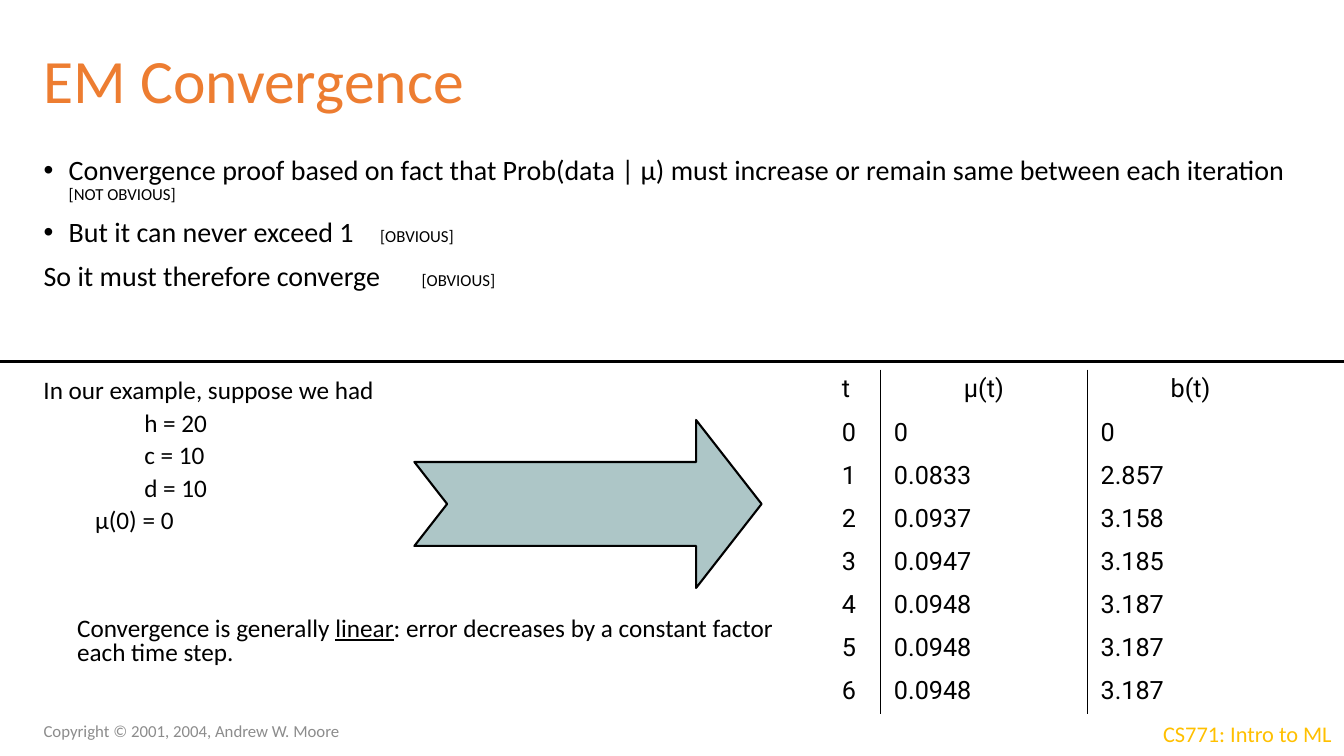
from lxml import etree
from pptx import Presentation
from pptx.dml.color import RGBColor
from pptx.enum.shapes import MSO_CONNECTOR, MSO_SHAPE
from pptx.enum.text import MSO_ANCHOR, PP_ALIGN
from pptx.oxml.ns import qn
from pptx.util import Pt

LINE = MSO_CONNECTOR.STRAIGHT
ARROW = MSO_SHAPE.NOTCHED_RIGHT_ARROW
TOP, MID = MSO_ANCHOR.TOP, MSO_ANCHOR.MIDDLE
LEFT, CENTER = PP_ALIGN.LEFT, PP_ALIGN.CENTER
PLAIN = "{2D5ABB26-0587-4C30-8999-92F81FD0307C}"  # table style without grid


def rgb(code):
    return RGBColor.from_string(code)


class Deck:
    font, grid_font = "Calibri", "Roboto"
    ink, accent, gray, gold, teal = "000000", "ED7D31", "8C8C8C", "FFC000", "ADC6C7"

    def __init__(self, wide, high):
        self.prs = Presentation()
        self.prs.slide_width, self.prs.slide_height = Pt(wide), Pt(high)
        self.slide = self.prs.slides.add_slide(self.prs.slide_layouts[5])
        self.shapes = self.slide.shapes

    def style(self, para, size=None, color=None, name=None):
        font = para.font
        font.name, font.color.rgb = name or self.font, rgb(color or self.ink)
        if size:
            font.size = Pt(size)

    def title(self, text, x, y, w, h):
        box = self.shapes.title
        box.left, box.top, box.width, box.height = map(Pt, (x, y, w, h))
        frame = box.text_frame
        frame.text, frame.vertical_anchor = text, MID
        para = frame.paragraphs[0]
        para.alignment, para.line_spacing = LEFT, 0.9
        self.style(para, 44, self.accent)

    def box(self, x, y, w, h, wrap=True, anchor=TOP):
        frame = self.shapes.add_textbox(Pt(x), Pt(y), Pt(w), Pt(h)).text_frame
        frame.word_wrap, frame.vertical_anchor = wrap, anchor
        return frame

    def para(self, frame, runs, size=None, color=None, first=False, gap=0,
             space=None, left=0, hang=0, bullet=False, tab=None):
        """Runs are (text, size, underline) tuples."""
        para = frame.paragraphs[0] if first else frame.add_paragraph()
        props = para._p.get_or_add_pPr()
        props.set("marL", str(Pt(left)))
        props.set("indent", str(Pt(-hang)))
        if bullet:
            etree.SubElement(props, qn("a:buFont"), typeface="Arial")
            etree.SubElement(props, qn("a:buChar"), char="•")
        if tab:
            tabs = etree.SubElement(props, qn("a:tabLst"))
            etree.SubElement(tabs, qn("a:tab"), pos=str(Pt(tab)), algn="l")
        if space:
            para.line_spacing = space
        if gap and not first:
            para.space_before = Pt(gap)
        self.style(para, size, color)
        for text, points, under in runs:
            run = para.add_run()
            run.text = text
            if points:
                run.font.size = Pt(points)
            if under:
                run.font.underline = True

    def rule(self, x1, y1, x2, y2, width):
        line = self.shapes.add_connector(LINE, Pt(x1), Pt(y1), Pt(x2), Pt(y2))
        line.line.color.rgb, line.line.width = rgb(self.ink), Pt(width)
        etree.SubElement(line._element.spPr, qn("a:effectLst"))

    def arrow(self, x, y, w, h, notch):
        shape = self.shapes.add_shape(ARROW, Pt(x), Pt(y), Pt(w), Pt(h))
        shape.shadow.inherit = False
        shape.adjustments[1] = notch
        shape.fill.solid()
        shape.fill.fore_color.rgb = rgb(self.teal)
        shape.line.color.rgb, shape.line.width = rgb(self.ink), Pt(1.5)

    def edge(self, cell, side):
        line = etree.SubElement(cell._tc.get_or_add_tcPr(), qn(side), w=str(Pt(1)))
        fill = etree.SubElement(line, qn("a:solidFill"))
        etree.SubElement(fill, qn("a:srgbClr"), val=self.ink)

    def table(self, rows, x, y, cols, high):
        grid = self.shapes.add_table(len(rows), len(cols), Pt(x), Pt(y),
                                     Pt(sum(cols)), Pt(high * len(rows))).table
        grid.first_row = grid.horz_banding = False
        grid._tbl.tblPr.find(qn("a:tableStyleId")).text = PLAIN
        for col, wide in zip(grid.columns, cols):
            col.width = Pt(wide)
        for r, row in enumerate(rows):
            grid.rows[r].height = Pt(high)
            for c, text in enumerate(row):
                cell = grid.cell(r, c)
                cell.margin_left = cell.margin_right = Pt(9.6)
                cell.margin_top = cell.margin_bottom = Pt(3.6)
                if c > 0:
                    self.edge(cell, "a:lnL")
                if c < len(cols) - 1:
                    self.edge(cell, "a:lnR")
                cell.fill.background()
                cell.text = text
                para = cell.text_frame.paragraphs[0]
                para.alignment = CENTER if r == 0 and c > 0 else LEFT
                self.style(para, 18, name=self.grid_font)


def main():
    deck = Deck(960, 540)

    # Footers
    foot = deck.box(823.7, 511, 136.5, 26.6, wrap=False)
    deck.para(foot, [("CS771: Intro to ML", None, False)], 16, deck.gold, first=True)
    foot = deck.box(24, 512, 239, 20, anchor=MID)
    deck.para(foot, [("Copyright © 2001, 2004, Andrew W. Moore", None, False)],
              12, deck.gray, first=True)

    # Title and argument
    deck.title("EM Convergence", 24, 18, 896, 84)
    body = deck.box(24, 108, 912, 144)
    points = [
        ("Convergence proof based on fact that Prob(data | μ) must increase or "
         "remain same between each iteration ", "[NOT OBVIOUS]", True, None),
        ("But it can never exceed 1", "\t[OBVIOUS]", True, 240.4),
        ("So it must therefore converge", "\t[OBVIOUS]", False, 254.7),
    ]
    for i, (claim, note, bullet, tab) in enumerate(points):
        deck.para(body, [(claim, 20, False), (note, 12, False)], first=i == 0,
                  gap=10, space=0.9, left=18, hang=18, bullet=bullet, tab=tab)
    deck.rule(0, 258, 960, 258, 2.25)

    # Values by step
    deck.table([
        ("t", "μ(t)", "b(t)"),
        ("0", "0", "0"),
        ("1", "0.0833", "2.857"),
        ("2", "0.0937", "3.158"),
        ("3", "0.0947", "3.185"),
        ("4", "0.0948", "3.187"),
        ("5", "0.0948", "3.187"),
        ("6", "0.0948", "3.187"),
    ], 591.8, 264, (37.2, 147.6, 147.6), 30.8)

    # Example
    case = deck.box(24, 264, 272, 125)
    facts = [("In our example, suppose we had", 0), ("h = 20", 72),
             ("c = 10", 72), ("d = 10", 72), ("μ(0) = 0", 36.8)]
    for i, (text, left) in enumerate(facts):
        deck.para(case, [(text, None, False)], 18, first=i == 0, gap=1.6, left=left)
    rate = deck.box(48, 438, 536, 42.5)
    deck.para(rate, [
        ("Convergence is generally ", None, False), ("linear", None, True),
        (": error decreases by a constant factor each time step.", None, False),
    ], 18, first=True, space=0.8)
    deck.arrow(296, 300, 248, 120, 0.39)

    deck.prs.save("out.pptx")


if __name__ == "__main__":
    main()
